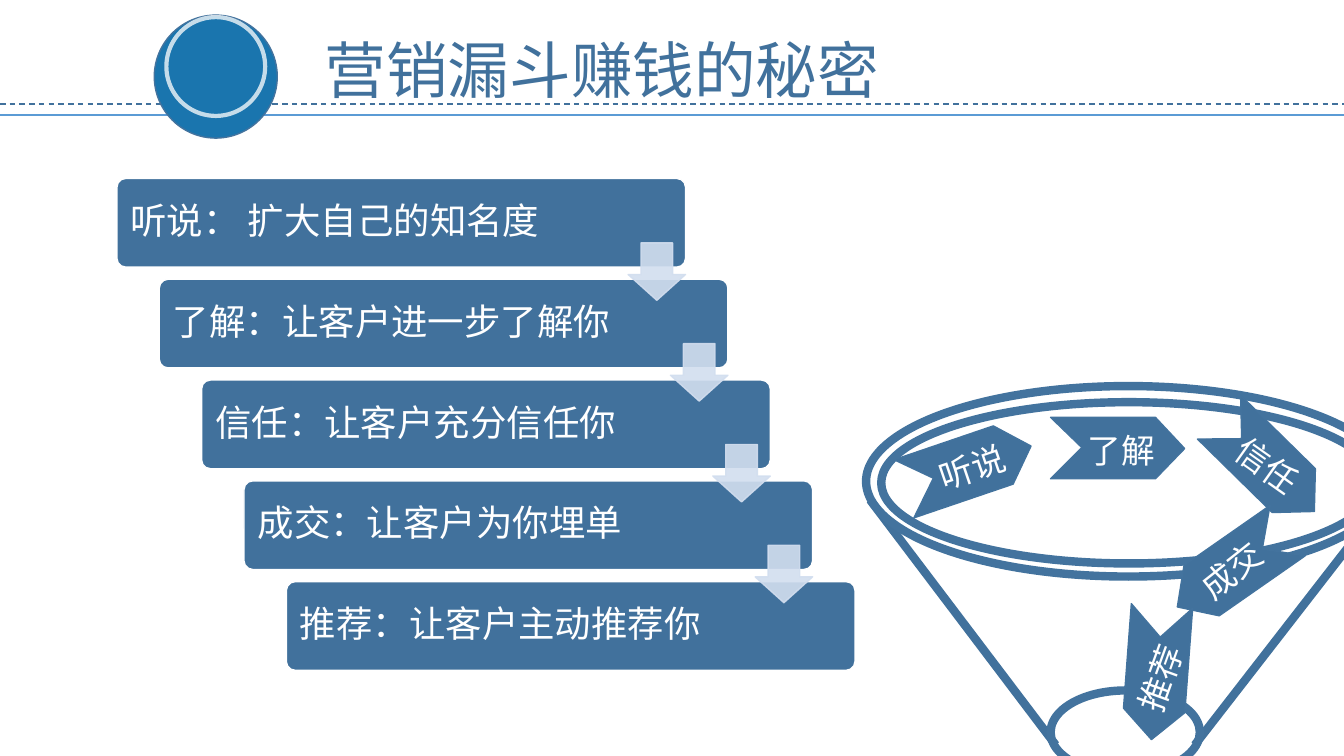
from dataclasses import dataclass
from pptx import Presentation
from pptx.dml.color import RGBColor
from pptx.enum.dml import MSO_LINE
from pptx.enum.shapes import MSO_CONNECTOR, MSO_SHAPE
from pptx.enum.text import MSO_ANCHOR, MSO_AUTO_SIZE, PP_ALIGN
from pptx.oxml.ns import qn
from pptx.util import Inches, Pt
from lxml import etree

OVAL, BAR, DOWN = MSO_SHAPE.OVAL, MSO_SHAPE.ROUNDED_RECTANGLE, MSO_SHAPE.DOWN_ARROW
LINE, DASH = MSO_CONNECTOR.STRAIGHT, MSO_LINE.DASH
TOP, MIDDLE, LEFT, FIXED = MSO_ANCHOR.TOP, MSO_ANCHOR.MIDDLE, PP_ALIGN.LEFT, MSO_AUTO_SIZE.NONE


@dataclass(frozen=True)
class Theme:
    blue: str = "41719C"
    edge: str = "43739E"
    sky: str = "5B9BD5"
    disc: str = "1A75AE"
    pale: str = "D2DEEF"
    white: str = "FFFFFF"
    head: int = 44
    step: int = 26
    label: int = 24
    font: str = "Noto Sans CJK SC"
    title: str = "Noto Sans CJK JP"


theme = Theme()


def paint(shape, fill, line, width, alpha=100):
    shape.shadow.inherit = False
    shape.line.color.rgb = RGBColor.from_string(line)
    shape.line.width = Pt(width)
    if fill:
        shape.fill.solid()
        shape.fill.fore_color.rgb = RGBColor.from_string(fill)
    else:
        shape.fill.background()
    if alpha < 100:
        for color in shape._element.spPr.iter(qn("a:srgbClr")):
            etree.SubElement(color, qn("a:alpha"), val=str(alpha * 1000))


def write(shape, text, size, color=theme.white, font=theme.font,
          anchor=TOP, wrap=False, inset=(0.1, 0.05), space=1.0):
    frame = shape.text_frame
    frame.auto_size = FIXED
    frame.word_wrap = wrap
    frame.vertical_anchor = anchor
    frame.margin_left = frame.margin_right = Inches(inset[0])
    frame.margin_top = frame.margin_bottom = Inches(inset[1])
    para = frame.paragraphs[0]
    para.alignment = LEFT
    para.line_spacing = space
    run = para.add_run()
    run.text = text
    run.font.size = Pt(size)
    run.font.name = font
    run.font.color.rgb = RGBColor.from_string(color)
    etree.SubElement(run._r.get_or_add_rPr(), qn("a:ea"), typeface=font)


deck = Presentation()
deck.slide_width, deck.slide_height = Inches(13.33), Inches(7.5)
slide = deck.slides.add_slide(deck.slide_layouts[5])
shapes = slide.shapes

rings = [
    (8.74, 3.99, 4.91, 1.6, None, theme.edge, 6, 100),
    (8.59, 3.83, 5.2, 1.89, None, theme.edge, 6, 100),
    (10.42, 6.85, 1.48, 0.83, None, theme.edge, 6, 100),
    (1.53, 0.15, 1.22, 1.22, theme.disc, theme.edge, 1, 100),
    (1.65, 0.17, 0.98, 0.98, None, theme.white, 3, 74),
]
rules = [
    (8.63, 4.96, 10.47, 7.39, theme.blue, 6, None),
    (13.72, 4.98, 11.85, 7.39, theme.blue, 6, None),
    (0, 1.03, 13.33, 1.03, theme.blue, 1, DASH),
    (0, 1.14, 13.33, 1.14, theme.sky, 1.5, None),
]
for x1, y1, x2, y2, color, width, dash in rules:
    rule = shapes.add_connector(LINE, Inches(x1), Inches(y1), Inches(x2), Inches(y2))
    rule.line.color.rgb = RGBColor.from_string(color)
    rule.line.width = Pt(width)
    if dash:
        rule.line.dash_style = dash
    etree.SubElement(rule._element.spPr, qn("a:effectLst"))
for x, y, w, h, fill, line, width, alpha in rings:
    ring = shapes.add_shape(OVAL, Inches(x), Inches(y), Inches(w), Inches(h))
    paint(ring, fill, line, width, alpha)

title = shapes.title
title.left, title.top = Inches(3.12), Inches(0.27)
title.width, title.height = Inches(5.76), Inches(0.84)
write(title, "营销漏斗赚钱的秘密", theme.head, color=theme.blue, font=theme.title)

ribbon = [(0, 61), (104, 61), (133, 31), (104, 0), (0, 0), (31, 30)]
flow = [
    ("听说", 8.93, 4.33, 341.2, 9.21, 4.38, 341.2),
    ("了解", 10.42, 4.14, 0, 10.69, 4.22, 0),
    ("信任", 11.9, 4.3, 44.5, 12.14, 4.37, 35.3),
    ("成交", 11.56, 5.34, 145.1, 11.78, 5.4, 321.6),
    ("推荐", 10.81, 6.37, 94.3, 11.07, 6.47, 289.9),
]
for name, x, y, turn, left, top, tilt in flow:
    pen = shapes.build_freeform(*ribbon[0], scale=Inches(0.01))
    pen.add_line_segments(ribbon[1:], close=True)
    arrow = pen.convert_to_shape(Inches(x), Inches(y))
    arrow.rotation = turn
    paint(arrow, theme.blue, theme.edge, 1)
    label = shapes.add_textbox(Inches(left), Inches(top), Inches(0.88), Inches(0.5))
    label.rotation = tilt
    write(label, name, theme.label)

steps = [
    "听说： 扩大自己的知名度",
    "了解：让客户进一步了解你",
    "信任：让客户充分信任你",
    "成交：让客户为你埋单",
    "推荐：让客户主动推荐你",
]
across, down = 0.42, 1.0
for i, text in enumerate(steps):
    bar = shapes.add_shape(BAR, Inches(1.16 + i * across), Inches(1.77 + i * down),
                           Inches(5.64), Inches(0.88))
    bar.adjustments[0] = 0.1
    paint(bar, theme.blue, theme.white, 1)
    write(bar, text, theme.step, anchor=MIDDLE, wrap=True, inset=(0.11, 0.11), space=0.9)
for i in range(len(steps) - 1):
    arrow = shapes.add_shape(DOWN, Inches(6.23 + i * across), Inches(2.41 + i * down),
                             Inches(0.57), Inches(0.57))
    arrow.adjustments[0], arrow.adjustments[1] = 0.55, 0.45
    paint(arrow, theme.pale, theme.pale, 1, 90)

deck.save("out.pptx")
